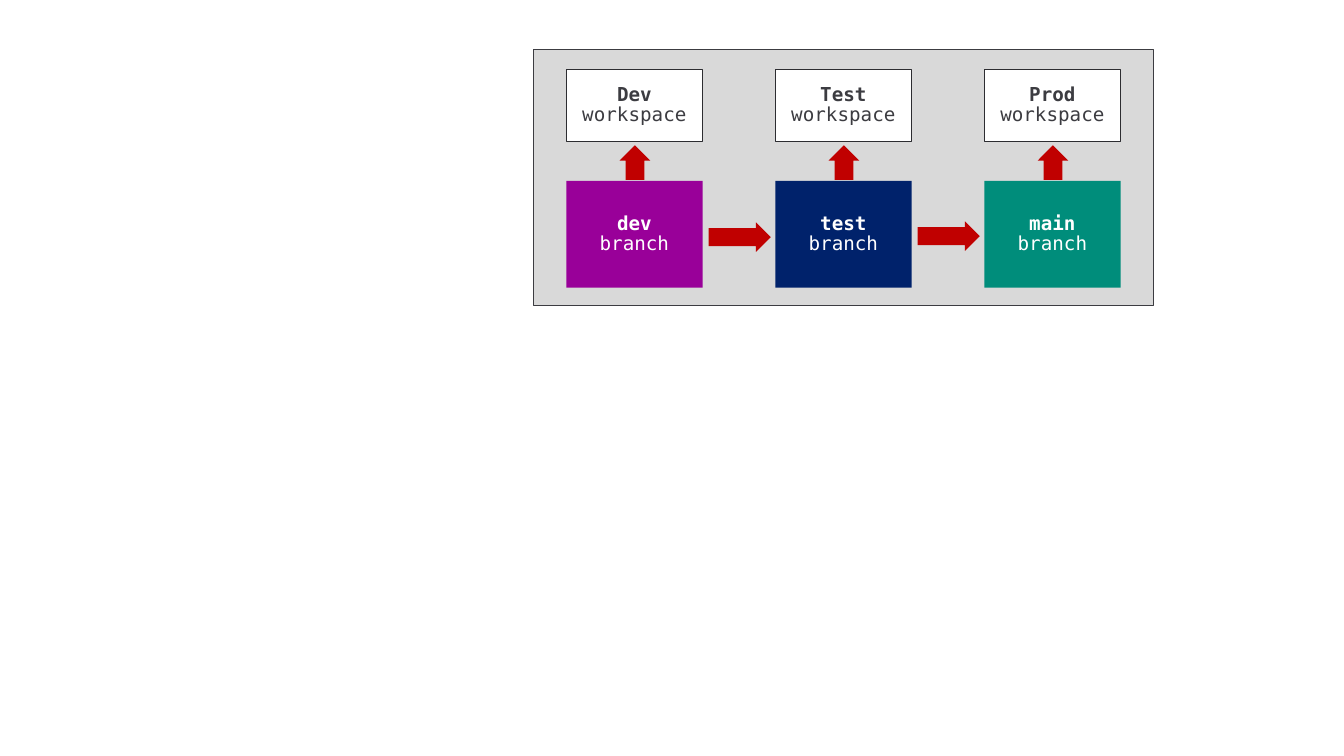
from pptx import Presentation
from pptx.dml.color import RGBColor
from pptx.enum import shapes, text
from pptx.util import Inches, Pt

FONT = "DejaVu Sans Mono"
ARROW_RED = "C00000"
FIRST_LEFT = 5.73
STAGE_PITCH = 4.23 / 2
BOX_WIDTH = 1.38
STAGES = [
    ("Dev", "dev", "990099"),
    ("Test", "test", "00226B"),
    ("Prod", "main", "008D7B"),
]
PROMOTION_TOPS = [2.25, 2.24]


def color(hex_value):
    return RGBColor.from_string(hex_value)


def add_block(parent, kind, bounds, fill, line=None):
    shape = parent.shapes.add_shape(kind, *[Inches(value) for value in bounds])
    shape.shadow.inherit = False
    shape.fill.solid()
    shape.fill.fore_color.rgb = color(fill)
    if line:
        shape.line.color.rgb = color(line)
        shape.line.width = Pt(0.75)
    else:
        shape.line.fill.background()
    return shape


def add_label(shape, name, role, font_color):
    frame = shape.text_frame
    frame_format = {
        "word_wrap": True,
        "vertical_anchor": text.MSO_ANCHOR.MIDDLE,
        "margin_left": 0,
        "margin_right": 0,
        "margin_top": 0,
        "margin_bottom": 0,
    }
    for attribute, value in frame_format.items():
        setattr(frame, attribute, value)
    lines = [(frame.paragraphs[0], name, True), (frame.add_paragraph(), role, False)]
    for paragraph, words, bold in lines:
        paragraph.alignment = text.PP_ALIGN.CENTER
        paragraph.line_spacing = 0.9
        run = paragraph.add_run()
        run.text = words
        run.font.color.rgb = color(font_color)
        for attribute, value in {"name": FONT, "size": Pt(14), "bold": bold}.items():
            setattr(run.font, attribute, value)


def add_arrow(parent, bounds, rotation=0):
    arrow = add_block(parent, shapes.MSO_SHAPE.RIGHT_ARROW, bounds, ARROW_RED)
    arrow.adjustments[0] = 0.614
    arrow.adjustments[1] = 0.5
    arrow.rotation = rotation


def add_stage(slide, left, workspace, branch, branch_color):
    group = slide.shapes.add_group_shape()
    rectangle = shapes.MSO_SHAPE.RECTANGLE
    branch_box = add_block(group, rectangle, (left, 1.83, BOX_WIDTH, 1.08), branch_color)
    add_label(branch_box, branch, "branch", "FFFFFF")
    workspace_box = add_block(
        group, rectangle, (left, 0.7, BOX_WIDTH, 0.73), "FFFFFF", "2D2D31"
    )
    add_label(workspace_box, workspace, "workspace", "3C3C41")
    add_arrow(group, (left + 0.52, 1.49, 0.35, 0.31), 270)


def main():
    presentation = Presentation()
    presentation.slide_width = Inches(13.6)
    presentation.slide_height = Inches(7.65)
    slide = presentation.slides.add_slide(presentation.slide_layouts[6])
    add_block(slide, shapes.MSO_SHAPE.RECTANGLE, (5.4, 0.5, 6.27, 2.59), "D9D9D9", "3C3C41")
    for index, stage in enumerate(STAGES):
        add_stage(slide, FIRST_LEFT + index * STAGE_PITCH, *stage)
    for index, top in enumerate(PROMOTION_TOPS):
        left = FIRST_LEFT + index * STAGE_PITCH + BOX_WIDTH + 0.06
        add_arrow(slide, (left, top, 0.63, 0.3))
    presentation.save("out.pptx")


if __name__ == "__main__":
    main()
